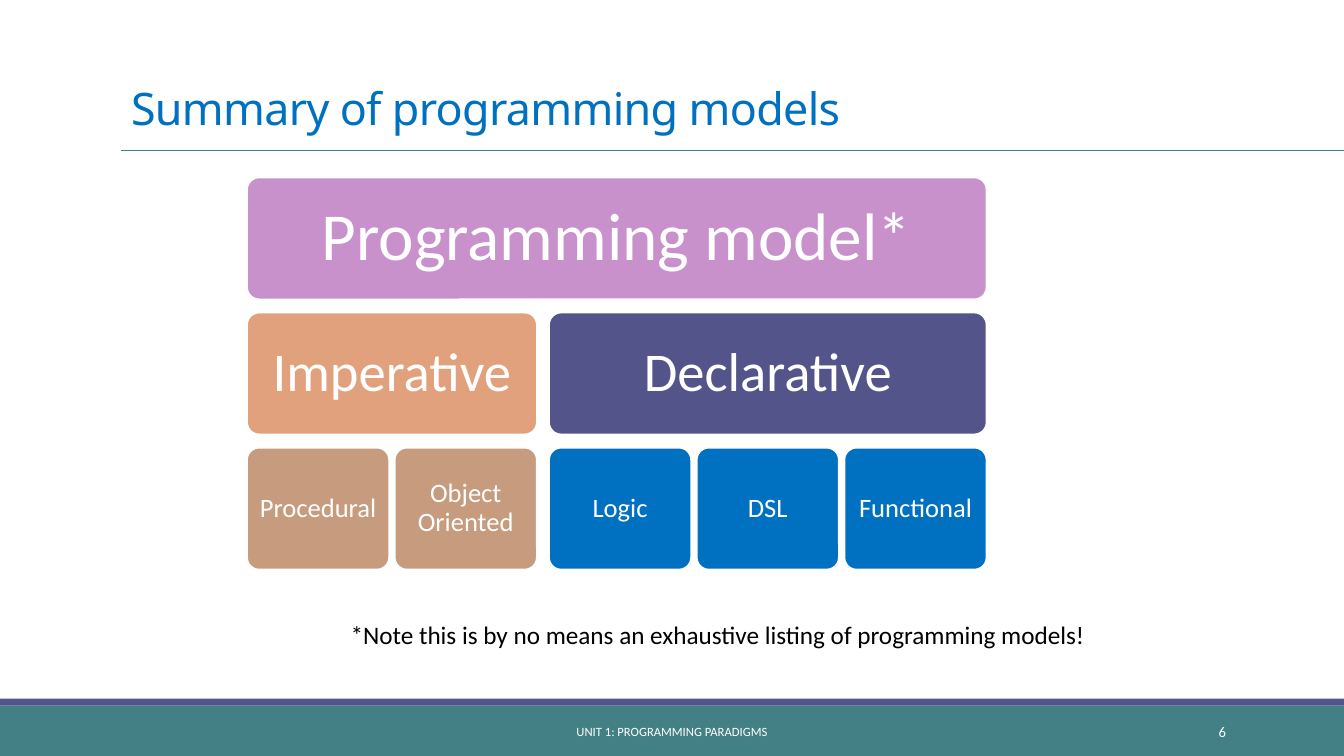
"""Build the slide that sums up programming models as a tiered hierarchy."""
from dataclasses import dataclass

from lxml import etree
from pptx import Presentation
from pptx.dml.color import RGBColor
from pptx.enum.shapes import MSO_CONNECTOR, MSO_SHAPE
from pptx.enum.text import MSO_ANCHOR, PP_ALIGN
from pptx.oxml.ns import qn
from pptx.util import Inches, Pt

RECT, ROUNDED = MSO_SHAPE.RECTANGLE, MSO_SHAPE.ROUNDED_RECTANGLE
STRAIGHT = MSO_CONNECTOR.STRAIGHT
LEFT, CENTER, RIGHT = PP_ALIGN.LEFT, PP_ALIGN.CENTER, PP_ALIGN.RIGHT
TOP, MIDDLE, BOTTOM = MSO_ANCHOR.TOP, MSO_ANCHOR.MIDDLE, MSO_ANCHOR.BOTTOM

WIDTH, HEIGHT = Inches(13.33), Inches(7.5)


@dataclass(frozen=True)
class Theme:
    """Colours, fonts and type sizes of the slide."""
    white: str = "FFFFFF"
    black: str = "000000"
    blue: str = "0070C0"
    teal: str = "438086"
    indigo: str = "53548A"
    orchid: str = "C991CB"
    peach: str = "E1A17C"
    tan: str = "C69B7E"
    heading_font: str = "Noto Sans"
    body_font: str = "Calibri"
    title: float = 32
    tiers: tuple = (48, 39, 19)
    insets: tuple = (0.2, 0.16, 0.08)
    note: float = 18
    footer: float = 9
    page: float = 10.5


THEME = Theme()

TREE_LEFT, TREE_TOP = 18.38, 23.47
LEAF_WIDTH, LEAF_GAP, FAMILY_GAP = 10.58, 0.41, 0.9
TIER_HEIGHT, TIER_STEP = 16.13, 17.87

FAMILIES = (
    ("Imperative", THEME.peach, THEME.tan, ("Procedural", "Object Oriented")),
    ("Declarative", THEME.indigo, THEME.blue, ("Logic", "DSL", "Functional")),
)


def across(percent):
    """Turn a percentage of the slide's width into a length."""
    return int(WIDTH * percent / 100)


def down(percent):
    """Turn a percentage of the slide's height into a length."""
    return int(HEIGHT * percent / 100)


def area(left, top, width, height):
    """Turn percentages of the slide into a left, top, width, height tuple."""
    return across(left), down(top), across(width), down(height)


def write(frame, words, size, color, align, anchor, font=THEME.body_font):
    """Set one formatted paragraph in a text frame."""
    frame.text = words
    frame.vertical_anchor = anchor
    paragraph = frame.paragraphs[0]
    paragraph.alignment = align
    face = paragraph.runs[0].font
    face.name, face.size = font, Pt(size)
    face.color.rgb = RGBColor.from_string(color)
    return paragraph


def add_block(slide, kind, place, fill):
    """Add a flat filled shape without an outline."""
    block = slide.shapes.add_shape(kind, *place)
    block.shadow.inherit = False
    block.fill.solid()
    block.fill.fore_color.rgb = RGBColor.from_string(fill)
    block.line.fill.background()
    return block


def add_label(slide, place, words, size, color, align, anchor, wrap=True):
    """Add a text box holding one line of text."""
    frame = slide.shapes.add_textbox(*place).text_frame
    frame.word_wrap = wrap
    write(frame, words, size, color, align, anchor)


def add_model(slide, words, tier, left, width, fill):
    """Add one rounded box of the hierarchy in the given tier."""
    place = area(left, TREE_TOP + tier * TIER_STEP, width, TIER_HEIGHT)
    model = add_block(slide, ROUNDED, place, fill)
    model.adjustments[0] = 0.1
    model.line.color.rgb = RGBColor.from_string(THEME.white)
    model.line.width = Pt(1.25)
    frame = model.text_frame
    frame.word_wrap = True
    inset = Inches(THEME.insets[tier])
    frame.margin_left = frame.margin_right = inset
    frame.margin_top = frame.margin_bottom = inset
    label = write(frame, words, THEME.tiers[tier], THEME.white, CENTER, MIDDLE)
    label.line_spacing = 0.9


def add_tree(slide):
    """Add the hierarchy, each parent as wide as its children together."""
    left = TREE_LEFT
    for family, family_fill, leaf_fill, leaves in FAMILIES:
        step = LEAF_WIDTH + LEAF_GAP
        width = len(leaves) * step - LEAF_GAP
        add_model(slide, family, 1, left, width, family_fill)
        for column, leaf in enumerate(leaves):
            add_model(slide, leaf, 2, left + column * step, LEAF_WIDTH, leaf_fill)
        left += width + FAMILY_GAP
    full_width = left - FAMILY_GAP - TREE_LEFT
    add_model(slide, "Programming model*", 0, TREE_LEFT, full_width, THEME.orchid)


def add_rule(slide, left, right, height):
    """Add the thin line under the title."""
    rule = slide.shapes.add_connector(
        STRAIGHT, across(left), down(height), across(right), down(height))
    rule.line.color.rgb = RGBColor.from_string(THEME.teal)
    rule.line.width = Pt(0.5)
    etree.SubElement(rule._element.spPr, qn("a:effectLst"))


def set_title(slide, words):
    """Place and format the title placeholder."""
    title = slide.shapes.title
    title.left, title.top, title.width, title.height = area(9, 4.13, 82.5, 14.4)
    heading = write(title.text_frame, words, THEME.title, THEME.blue,
                    LEFT, BOTTOM, THEME.heading_font)
    heading.line_spacing = 0.85
    heading.runs[0].font._element.set("spc", "-50")


def add_footer(slide):
    """Add the footer bands, the unit name and the page number."""
    add_block(slide, RECT, area(0, 93.33, 100, 6.67), THEME.teal)
    add_block(slide, RECT, area(0, 92.4, 100, 0.93), THEME.indigo)
    add_label(slide, area(30.23, 94.13, 39.53, 5.33),
              "UNIT 1: PROGRAMMING PARADIGMS", THEME.footer, THEME.white,
              CENTER, MIDDLE)
    add_label(slide, area(81.23, 94.13, 10.73, 5.33), "6", THEME.page,
              THEME.white, RIGHT, MIDDLE)


def main():
    """Build and save the slide."""
    deck = Presentation()
    deck.slide_width, deck.slide_height = WIDTH, HEIGHT
    slide = deck.slides.add_slide(deck.slide_layouts.get_by_name("Title Only"))
    add_footer(slide)
    add_rule(slide, 9, 100, 19.87)
    set_title(slide, "Summary of programming models")
    add_tree(slide)
    add_label(slide, area(25.35, 81.2, 56.78, 5.33),
              "*Note this is by no means an exhaustive listing of programming models!",
              THEME.note, THEME.black, LEFT, TOP, wrap=False)
    deck.save("out.pptx")


main()
